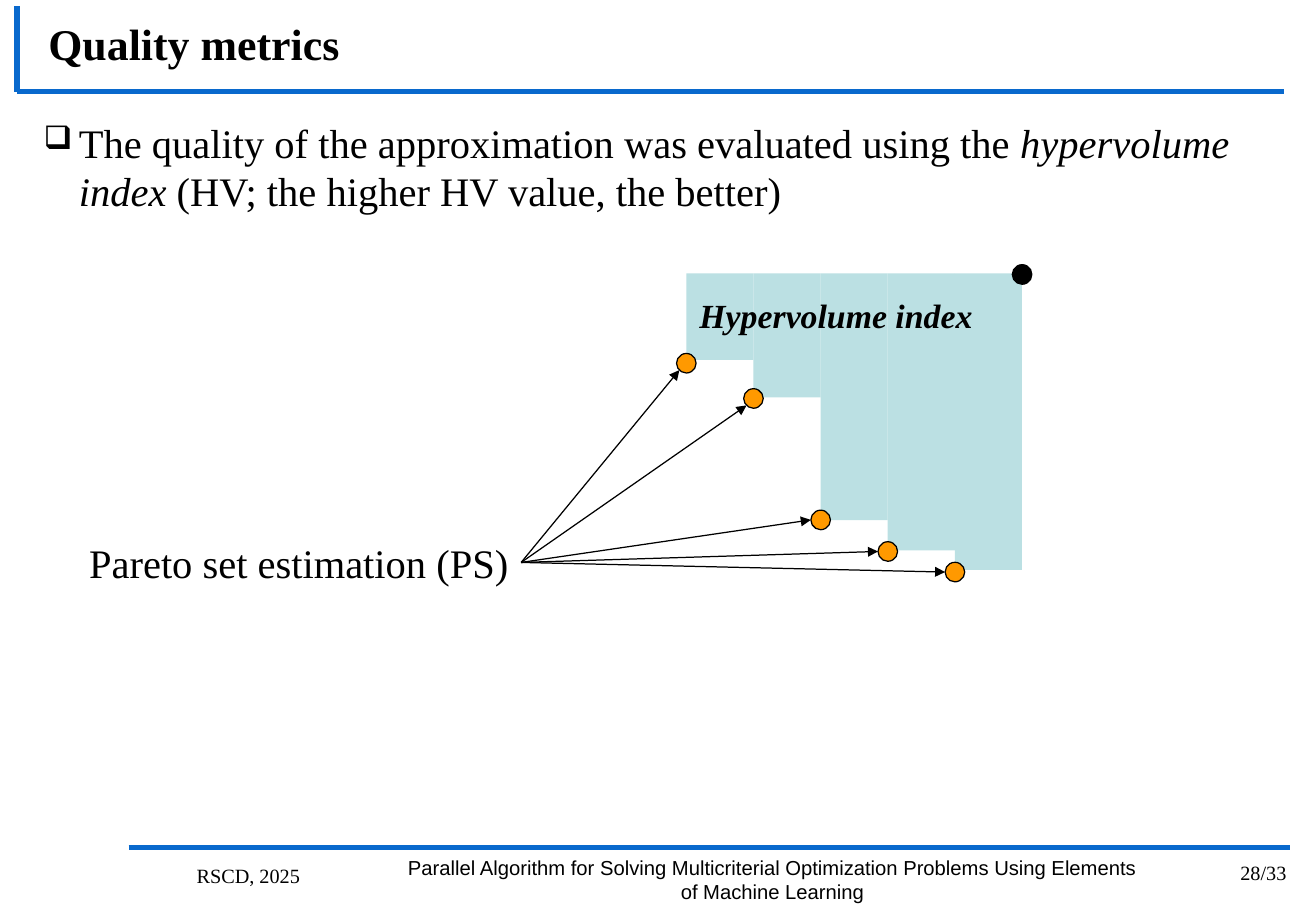
from lxml.etree import SubElement
from pptx import Presentation
from pptx.dml.color import RGBColor
from pptx.enum.shapes import MSO_CONNECTOR, MSO_SHAPE
from pptx.enum.text import MSO_ANCHOR, PP_ALIGN
from pptx.oxml.ns import qn
from pptx.util import Pt

BLUE = RGBColor(0x09, 0x69, 0xCD)
TEAL = RGBColor(0xBB, 0xE0, 0xE3)
ORANGE = RGBColor(0xFF, 0x99, 0x00)
BLACK = RGBColor(0, 0, 0)

prs = Presentation()
prs.slide_width, prs.slide_height = Pt(780), Pt(540)
s = prs.slides.add_slide(prs.slide_layouts[6])


def add_text(box, runs, size, align=PP_ALIGN.LEFT, font="Times New Roman"):
    """Add a wrapped text box; box is (left, top, width, height), runs are (text, bold, italic)."""
    tb = s.shapes.add_textbox(*[Pt(v) for v in box])
    tf = tb.text_frame
    tf.word_wrap = True
    p = tf.paragraphs[0]
    p.alignment = align
    for text, bold, italic in runs:
        r = p.add_run()
        r.text = text
        r.font.name, r.font.size = font, Pt(size)
        r.font.bold, r.font.italic = bold, italic
        r.font.color.rgb = BLACK
    return tb


def add_line(x1, y1, x2, y2, color, width):
    c = s.shapes.add_connector(MSO_CONNECTOR.STRAIGHT, Pt(x1), Pt(y1), Pt(x2), Pt(y2))
    c.line.color.rgb, c.line.width = color, Pt(width)
    SubElement(c._element.spPr, qn("a:effectLst"))
    return c


# Frame rules
for ends in [(76.3, 502.6, 764.6, 502.6), (10.1, 54, 761, 54), (10.1, 3.6, 10.1, 54.7)]:
    add_line(*ends, BLUE, 3)

# Title and body
title = add_text((21.6, 3.6, 745.2, 43.9), [("Quality metrics", True, False)], 26)
title.text_frame.vertical_anchor = MSO_ANCHOR.MIDDLE

body = add_text((18.7, 66.2, 748.1, 410.4), [
    ("The quality of the approximation was evaluated using the ", False, False),
    ("hypervolume index", False, True),
    (" (HV; the higher HV value, the better)", False, False),
], 24)
p = body.text_frame.paragraphs[0]
p.space_before = Pt(4.8)
pPr = p._p.get_or_add_pPr()
pPr.set("marL", str(Pt(21)))
pPr.set("indent", str(-Pt(21)))
SubElement(pPr, qn("a:buSzPct"), val="80000")
SubElement(pPr, qn("a:buChar"), char="❑")

pareto_label = add_text((45.4, 315.4, 263.5, 36), [("Pareto set estimation (PS)", False, False)],
                        24, PP_ALIGN.CENTER)

# Hypervolume: one bar per Pareto point, all hanging from the reference level
LEFT, TOP, STEP, RADIUS = 406.8, 162, 39.8, 5.8
bar_heights = [51.3, 73.5, 146.3, 164.3, 175.8]
point_ys = [215.3, 236.2, 308.2, 326.9, 339.1]
xs = [LEFT + i * STEP for i in range(6)]

for x, height in zip(xs, bar_heights):
    bar = s.shapes.add_shape(MSO_SHAPE.RECTANGLE, Pt(x), Pt(TOP), Pt(STEP), Pt(height))
    bar.shadow.inherit = False
    bar.fill.solid()
    bar.fill.fore_color.rgb = TEAL
    bar.line.fill.background()

dots = [(x, y, ORANGE) for x, y in zip(xs, point_ys)] + [(xs[5], 162.7, BLACK)]
for x, y, color in dots:
    dot = s.shapes.add_shape(MSO_SHAPE.OVAL, Pt(x - RADIUS), Pt(y - RADIUS),
                             Pt(2 * RADIUS), Pt(2 * RADIUS))
    dot.shadow.inherit = False
    dot.fill.solid()
    dot.fill.fore_color.rgb = color
    dot.line.color.rgb, dot.line.width = BLACK, Pt(0.75)

add_text((407.5, 171.4, 198, 31.7), [("Hypervolume index", True, True)], 20)

# Steep arrows meet their point at the lower left, the others at the left
for i, (x, y) in enumerate(zip(xs, point_ys)):
    dx, dy = (4.1, 4.1) if i < 2 else (RADIUS, 0)
    arrow = add_line(308.9, 333.4, x - dx, y + dy, BLACK, 0.75)
    arrow.begin_connect(pareto_label, 3)
    SubElement(arrow.line._get_or_add_ln(), qn("a:tailEnd"), type="triangle")

# Footer
add_text((69.1, 508.3, 156.2, 30.2), [("RSCD, 2025", False, False)], 12, PP_ALIGN.CENTER)
add_text((696.2, 506.2, 73.4, 32.4), [("28/33", False, False)], 12, PP_ALIGN.RIGHT)
add_text((231.1, 503.3, 453.6, 35.3),
         [("Parallel Algorithm for Solving Multicriterial Optimization Problems "
           "Using Elements of Machine Learning", False, False)],
         12, PP_ALIGN.CENTER, "Arial")

prs.save("out.pptx")
